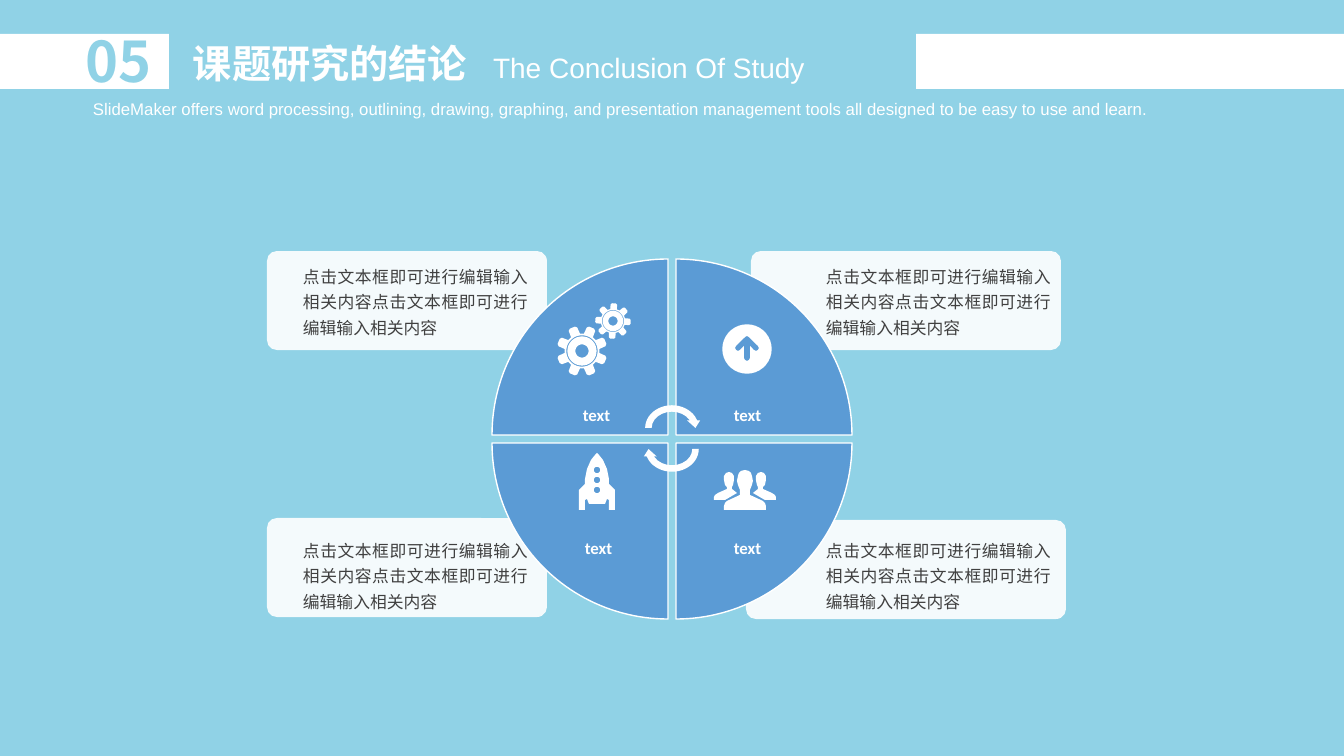
from math import cos, radians, sin

from lxml import etree
from pptx import Presentation
from pptx.dml.color import RGBColor
from pptx.enum.shapes import MSO_SHAPE
from pptx.enum.text import MSO_ANCHOR, PP_ALIGN
from pptx.oxml.ns import qn
from pptx.util import Emu, Pt

SKY = RGBColor(0x90, 0xD2, 0xE6)
BLUE = RGBColor(0x5B, 0x9B, 0xD5)
WHITE = RGBColor(0xFF, 0xFF, 0xFF)
GREY = RGBColor(0x40, 0x40, 0x40)
RECT = MSO_SHAPE.RECTANGLE
ROUND = MSO_SHAPE.ROUNDED_RECTANGLE
WEDGE = MSO_SHAPE.PIE_WEDGE
CYCLE = MSO_SHAPE.CIRCULAR_ARROW
TOP, BOTTOM = MSO_ANCHOR.TOP, MSO_ANCHOR.BOTTOM
LEFT, CENTER, JUSTIFY = PP_ALIGN.LEFT, PP_ALIGN.CENTER, PP_ALIGN.JUSTIFY
HAN = "Noto Sans CJK SC"
CARD = "点击文本框即可进行编辑输入相关内容" * 2
PX = 914400 / 100.8


def emu(px):
    return Emu(round(px * PX))


def write(box, text, size, font, color, bold=False, align=LEFT,
          lead=None, pad=(10, 5, 10, 5), anchor=TOP):
    """Fill a box with one paragraph; pad is left, top, right, bottom."""
    frame = box.text_frame
    frame.word_wrap = True
    frame.vertical_anchor = anchor
    (frame.margin_left, frame.margin_top,
     frame.margin_right, frame.margin_bottom) = map(emu, pad)
    frame.text = text
    para = frame.paragraphs[0]
    para.alignment = align
    if lead:
        para.line_spacing = lead
    run = para.runs[0]
    run.font.size = Pt(size)
    run.font.bold = bold
    run.font.color.rgb = color
    run.font.name = font
    east = etree.SubElement(run._r.get_or_add_rPr(), qn("a:ea"))
    east.set("typeface", font)


def label(slide, at, text, *style, **more):
    write(slide.shapes.add_textbox(*map(emu, at)), text, *style, **more)


def paint(shape, color, edge=None):
    shape.shadow.inherit = False
    shape.fill.solid()
    shape.fill.fore_color.rgb = color
    if edge:
        shape.line.color.rgb = edge
        shape.line.width = Pt(1)
    else:
        shape.line.fill.background()


def block(slide, kind, at, color=WHITE, edge=None, turn=0):
    shape = slide.shapes.add_shape(kind, *map(emu, at))
    paint(shape, color, edge)
    shape.rotation = turn
    return shape


def panel(slide, at):
    """A rounded white panel that is slightly see-through."""
    shape = block(slide, ROUND, at)
    shape.adjustments[0] = 0.1
    tint = shape.fill._xPr.find(".//" + qn("a:srgbClr"))
    etree.SubElement(tint, qn("a:alpha")).set("val", "90000")


def icon(slide, *loops):
    """One white outline; inner loops become holes."""
    pen = None
    for loop in loops:
        start, *rest = [(emu(x), emu(y)) for x, y in loop]
        if pen is None:
            pen = slide.shapes.build_freeform(*start, scale=1.0)
        else:
            pen.move_to(*start)
        pen.add_line_segments(rest, close=True)
    paint(pen.convert_to_shape(), WHITE)


def polar(x, y, r, deg):
    return x + r * cos(radians(deg)), y + r * sin(radians(deg))


def ring(x, y, r):
    return [polar(x, y, r, deg) for deg in range(0, 360, 10)]


def mirror(x, y, half):
    """Close a right-hand half outline with its reflection in x."""
    right = [(x + dx, y + dy) for dx, dy in half]
    return right + [(x - dx, y + dy) for dx, dy in reversed(half)]


def gear(slide, x, y, size, turn):
    tooth = [(-16, 17.5), (-11, 24), (-6, 25.4), (6, 25.4), (11, 24), (16, 17.5)]
    rim = [polar(x, y, r * size, turn + 45 * n + deg)
           for n in range(8) for deg, r in tooth]
    icon(slide, rim, *[ring(x, y, r * size) for r in (15.7, 14.6, 6.6)])


def rocket(slide, x, y):
    hull = [(0, 0), (2, 2), (6, 7), (10, 16), (12, 26), (12, 31), (18, 37),
            (18, 57), (12, 57), (12, 47), (10, 46), (8, 51)]
    icon(slide, mirror(x, y, hull),
         *[ring(x, y + dy, 3.2) for dy in (17, 27, 37)])


def people(slide, x, y):
    lead = [(0, 0), (4, 1), (6, 3), (7, 6), (8, 11), (7, 15), (5, 20),
            (5, 25), (18, 31), (20, 33), (21, 36), (21, 40)]
    side = [(16, 2), (19, 3), (21, 6), (21, 10), (20, 15), (18, 17), (18, 19),
            (27, 23), (30, 25), (31, 27), (31, 30), (20, 30), (8, 23),
            (13, 19), (13, 17), (12, 15), (11, 10), (11, 6), (13, 3)]
    icon(slide, mirror(x, y, lead))
    for way in (1, -1):
        icon(slide, [(x + way * dx, y + dy) for dx, dy in side])


def upload(slide, x, y):
    arrow = [(0, -13), (2, -12), (11, -3), (12, -1), (11, 1), (9, 2), (7, 1),
             (3, -3), (3, 9), (2, 11), (0, 12)]
    icon(slide, ring(x, y, 24.7), mirror(x, y, arrow))


def header(slide):
    label(slide, (93, 99, 1085, 20),
          "SlideMaker offers word processing, outlining, drawing, graphing, "
          "and presentation management tools all designed to be easy to use "
          "and learn.", 12, "Arial", WHITE, pad=(0, 0, 0, 0))
    title = slide.shapes.title
    title.left, title.top, title.width, title.height = map(emu, (183, 34, 546, 57))
    write(title, "课题研究的结论", 28, HAN, WHITE, bold=True, lead=Pt(34))
    label(slide, (483, 45, 553, 44), "The Conclusion Of Study", 20, "Arial", WHITE)
    block(slide, RECT, (0, 34, 169, 55))
    label(slide, (76, 22, 121, 78), "05", 40, HAN, SKY, bold=True, lead=Pt(48))
    block(slide, RECT, (916, 34, 428, 55))


def wheel(slide):
    quads = [(492, 259, 0, 544, 310, 9, 28), (676, 259, 90, 676, 310, 28, 9),
             (676, 443, 180, 676, 443, 28, 9), (492, 443, 270, 544, 443, 9, 24)]
    for x, y, turn, left, top, before, after in quads:
        block(slide, WEDGE, (x, y, 176, 176), BLUE, WHITE, turn)
        label(slide, (left, top, 124, 124), "text", 12, "Calibri", WHITE,
              bold=True, align=CENTER, lead=0.9,
              pad=(before, 9, after, 9), anchor=BOTTOM)
    for y, turn in ((402, 0), (423, 180)):
        block(slide, CYCLE, (642, y, 60, 52), turn=turn)


def main():
    deck = Presentation()
    deck.slide_width, deck.slide_height = emu(1344), emu(756)
    slide = deck.slides.add_slide(deck.slide_layouts[5])
    slide.background.fill.solid()
    slide.background.fill.fore_color.rgb = SKY
    header(slide)
    cards = [((746, 520, 320, 99), (816, 530)), ((267, 518, 280, 99), (293, 530)),
             ((751, 251, 310, 99), (816, 256)), ((267, 251, 280, 99), (293, 256))]
    for at, _ in cards:
        panel(slide, at)
    wheel(slide)
    rocket(slide, 597, 453)
    people(slide, 745, 470)
    upload(slide, 747, 349)
    gear(slide, 582, 351, 1, 22.5)
    gear(slide, 613, 321, 0.7, 3)
    for _, spot in cards:
        label(slide, (*spot, 245, 87), CARD, 12, HAN, GREY,
              align=JUSTIFY, lead=Pt(18.2))
    deck.save("out.pptx")


if __name__ == "__main__":
    main()
